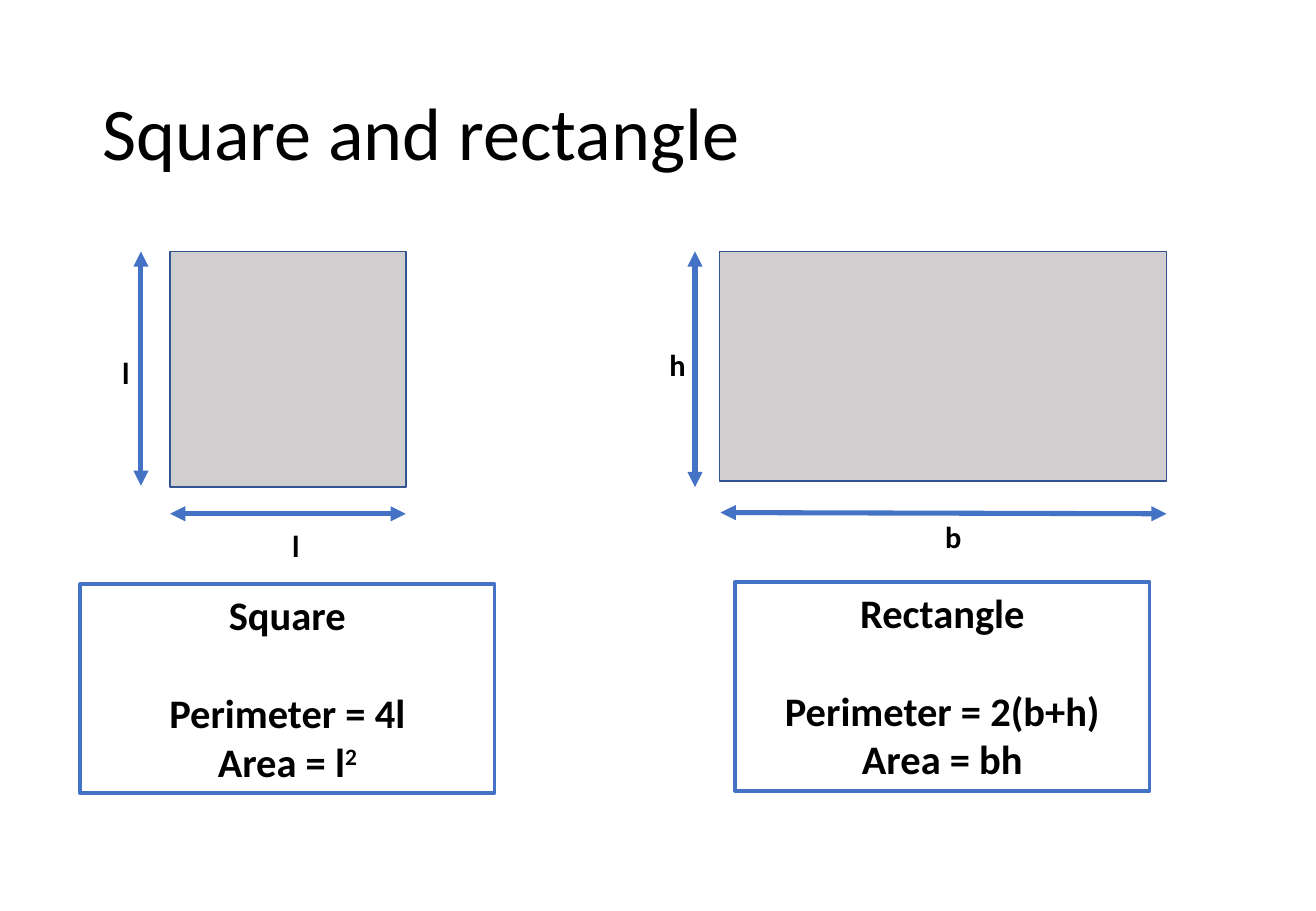
"""Build a slide with the perimeter and area of the square and the rectangle."""
from lxml import etree
from pptx import Presentation
from pptx.dml.color import RGBColor
from pptx.enum.shapes import MSO_CONNECTOR, MSO_SHAPE
from pptx.enum.text import MSO_ANCHOR, PP_ALIGN
from pptx.oxml.ns import qn
from pptx.util import Inches, Pt

RECTANGLE = MSO_SHAPE.RECTANGLE
STRAIGHT = MSO_CONNECTOR.STRAIGHT
CENTER, LEFT = PP_ALIGN.CENTER, PP_ALIGN.LEFT
TOP, MIDDLE = MSO_ANCHOR.TOP, MSO_ANCHOR.MIDDLE

FONT = "Calibri"
COLORS = {"text": "000000", "fill": "D0CECE", "outline": "325491", "accent": "4472C4"}
TITLE = "Square and rectangle"
FIGURES = [
    {
        "outline": (1.4, 2.07, 1.94, 1.94),
        "arrows": [(1.16, 2.07, 1.16, 4.0), (1.4, 4.23, 3.34, 4.23)],
        "labels": [("l", 0.83, 2.87), ("l", 2.23, 4.29)],
        "box": (0.66, 4.81),
        "name": "Square",
        "perimeter": "Perimeter = 4l",
        "area": ("Area = l", "2"),
    },
    {
        "outline": (5.92, 2.07, 3.68, 1.89),
        "arrows": [(5.72, 2.07, 5.72, 4.01), (5.93, 4.22, 9.6, 4.23)],
        "labels": [("h", 5.37, 2.8), ("b", 7.64, 4.22)],
        "box": (6.05, 4.79),
        "name": "Rectangle",
        "perimeter": "Perimeter = 2(b+h)",
        "area": ("Area = bh", ""),
    },
]
LABEL_SIZE = (0.41, 0.4)
BOX_SIZE = (3.41, 1.72)
LINE_GAP = 29.3


def color(name):
    return RGBColor.from_string(COLORS[name])


def inches(*values):
    return [Inches(value) for value in values]


def format_paragraph(paragraph, size, bold=True, alignment=CENTER):
    paragraph.alignment = alignment
    paragraph.font.name = FONT
    paragraph.font.size = Pt(size)
    paragraph.font.bold = bold
    paragraph.font.color.rgb = color("text")


def add_rectangle(shapes, bounds, line_color, line_width):
    shape = shapes.add_shape(RECTANGLE, *inches(*bounds))
    shape.shadow.inherit = False
    shape.line.color.rgb = color(line_color)
    shape.line.width = Pt(line_width)
    return shape


def add_double_arrow(shapes, ends):
    arrow = shapes.add_connector(STRAIGHT, *inches(*ends))
    arrow.line.color.rgb = color("accent")
    arrow.line.width = Pt(3)
    for tag in ("a:headEnd", "a:tailEnd"):
        etree.SubElement(arrow.line._get_or_add_ln(), qn(tag), type="triangle")
    etree.SubElement(arrow._element.spPr, qn("a:effectLst"))


def add_label(shapes, text, left, top):
    label = shapes.add_textbox(*inches(left, top, *LABEL_SIZE))
    label.text_frame.word_wrap = True
    paragraph = label.text_frame.paragraphs[0]
    paragraph.text = text
    format_paragraph(paragraph, 18)


def add_formula_box(shapes, figure):
    box = add_rectangle(shapes, (*figure["box"], *BOX_SIZE), "accent", 2.25)
    box.fill.background()
    frame = box.text_frame
    frame.word_wrap = True
    frame.vertical_anchor = TOP
    base, exponent = figure["area"]
    frame.text = "\n".join((figure["name"], figure["perimeter"], base))
    name, perimeter, area = frame.paragraphs
    perimeter.space_before = Pt(LINE_GAP)
    if exponent:
        run = area.add_run()
        run.text = exponent
        run.font._element.set("baseline", "30000")
    for paragraph in (name, perimeter, area):
        format_paragraph(paragraph, 24)


def add_title(slide):
    title = slide.shapes.title
    title.left, title.top, title.width, title.height = inches(0.74, 0.4, 9.34, 1.45)
    title.text_frame.text = TITLE
    title.text_frame.vertical_anchor = MIDDLE
    paragraph = title.text_frame.paragraphs[0]
    paragraph.line_spacing = 0.9
    format_paragraph(paragraph, 44, bold=False, alignment=LEFT)


def main():
    presentation = Presentation()
    presentation.slide_width, presentation.slide_height = inches(10.83, 7.5)
    slide = presentation.slides.add_slide(presentation.slide_layouts[5])
    add_title(slide)
    for figure in FIGURES:
        drawing = slide.shapes.add_group_shape().shapes
        outline = add_rectangle(drawing, figure["outline"], "outline", 1)
        outline.fill.solid()
        outline.fill.fore_color.rgb = color("fill")
        for ends in figure["arrows"]:
            add_double_arrow(drawing, ends)
        for label in figure["labels"]:
            add_label(drawing, *label)
        add_formula_box(slide.shapes, figure)
    presentation.save("out.pptx")


if __name__ == "__main__":
    main()
